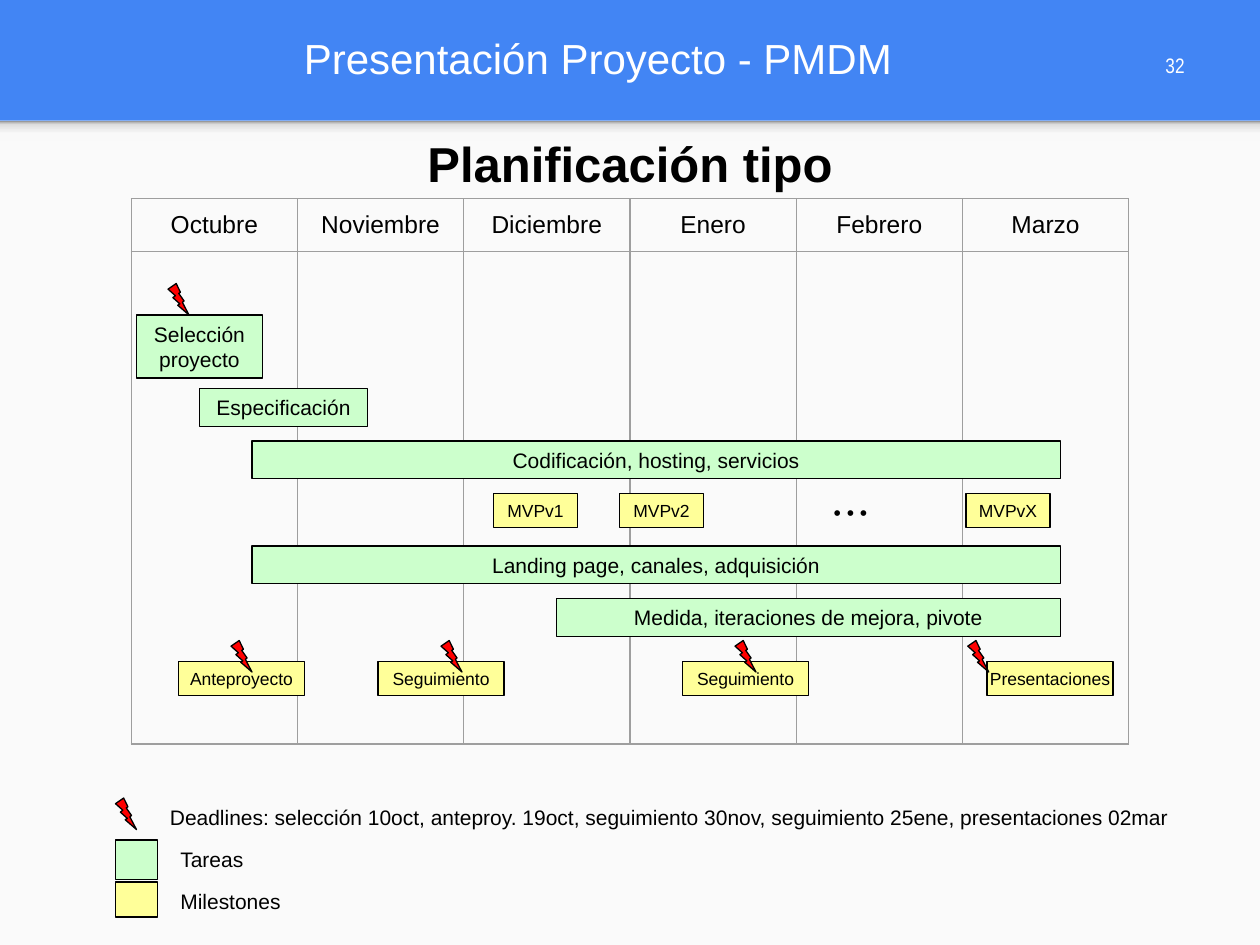
"""Builds the project planning slide: a monthly timeline with tasks, milestones and deadlines."""
from copy import deepcopy
from dataclasses import dataclass

from lxml.etree import SubElement
from pptx import Presentation
from pptx.dml.color import RGBColor
from pptx.enum.shapes import MSO_SHAPE as Shape
from pptx.enum.text import MSO_ANCHOR as Anchor, MSO_AUTO_SIZE as AutoSize, PP_ALIGN as Align
from pptx.oxml.ns import qn
from pptx.util import Pt


@dataclass(frozen=True)
class Theme:
    banner: str = "4285F4"
    paper: str = "FAFAFA"
    shade: tuple = ((0, "F9F9F9"), (0.36, "F9F9F9"), (0.8, "DEDEDE"), (1, "999999"))
    light: str = "FFFFFF"
    ink: str = "000000"
    grid: str = "9E9E9E"
    task: str = "CCFFCC"
    milestone: str = "FFFF99"
    deadline: str = "FF0000"
    font: str = "Arial"
    number_font: str = "Arial Narrow"
    banner_size: int = 24
    title_size: int = 28
    month_size: int = 14
    body_size: int = 12
    small_size: int = 10
    line: float = 0.75


class PlanSlide:
    def __init__(self, deck, theme):
        self.theme = theme
        self.slide = deck.slides.add_slide(deck.slide_layouts[5])
        self.shapes = self.slide.shapes
        self.paint(self.slide.background.fill, theme.banner)

    def paint(self, fill, color):
        fill.solid()
        fill.fore_color.rgb = RGBColor.from_string(color)

    def set_text(self, frame, text, size, align=Align.CENTER, color=None, font=None,
                 bold=False, anchor=Anchor.TOP, inset=(7.2, 3.6)):
        frame.text = text
        frame.word_wrap = True
        frame.auto_size = AutoSize.NONE
        frame.vertical_anchor = anchor
        frame.margin_left = frame.margin_right = Pt(inset[0])
        frame.margin_top = frame.margin_bottom = Pt(inset[1])
        self.set_font(frame.paragraphs[0], size, align, color, font, bold)

    def set_font(self, paragraph, size, align, color=None, font=None, bold=False):
        paragraph.alignment = align
        paragraph.font.size = Pt(size)
        paragraph.font.name = font or self.theme.font
        paragraph.font.bold = bold
        paragraph.font.color.rgb = RGBColor.from_string(color or self.theme.ink)

    def title(self, text, *box):
        heading = self.shapes.title
        heading.left, heading.top, heading.width, heading.height = map(Pt, box)
        self.set_text(heading.text_frame, text, self.theme.title_size, bold=True, anchor=Anchor.MIDDLE)
        self.shapes._spTree.append(heading._element)

    def text(self, text, box, size=None, **style):
        label = self.shapes.add_textbox(*map(Pt, box))
        self.set_text(label.text_frame, text, size or self.theme.body_size, **style)

    def shape(self, kind, box, color, outlined=True):
        figure = self.shapes.add_shape(kind, *map(Pt, box))
        figure.shadow.inherit = False
        self.paint(figure.fill, color)
        if outlined:
            figure.line.color.rgb = RGBColor.from_string(self.theme.ink)
            figure.line.width = Pt(self.theme.line)
        else:
            figure.line.fill.background()
        return figure

    def panel(self, top, height, shade_height):
        self.shape(Shape.RECTANGLE, (0, top, 720, height), self.theme.paper, outlined=False)
        shade = self.shape(Shape.RECTANGLE, (0, top, 720, shade_height), self.theme.paper, outlined=False)
        shade.fill.gradient()
        shade.fill.gradient_angle = 90
        stop_list = shade._element.spPr.find(qn("a:gradFill")).find(qn("a:gsLst"))
        while len(stop_list) < len(self.theme.shade):
            stop_list.append(deepcopy(stop_list[0]))
        for stop, (position, color) in zip(shade.fill.gradient_stops, self.theme.shade):
            stop.position = position
            stop.color.rgb = RGBColor.from_string(color)

    def task(self, text, left, top, width, height=21.6):
        bar = self.shape(Shape.RECTANGLE, (left, top, width, height), self.theme.task)
        self.set_text(bar.text_frame, text, self.theme.body_size)

    def milestone(self, text, left, top, width):
        mark = self.shape(Shape.RECTANGLE, (left, top, width, 19.5), self.theme.milestone)
        self.set_text(mark.text_frame, text, self.theme.small_size, inset=(0, 3.6))

    def deadline(self, left, top):
        self.shape(Shape.LIGHTNING_BOLT, (left, top, 12, 18), self.theme.deadline)

    def calendar(self, months, left, top, column_width, row_heights):
        grid = self.shapes.add_table(len(row_heights), len(months), Pt(left), Pt(top),
                                     Pt(column_width * len(months)), Pt(sum(row_heights))).table
        for column in grid.columns:
            column.width = Pt(column_width)
        for row, height in zip(grid.rows, row_heights):
            row.height = Pt(height)
        for cell in grid.iter_cells():
            self.border(cell)
            cell.fill.background()
        for column, month in enumerate(months):
            header = grid.cell(0, column)
            header.text = month
            header.margin_left = header.margin_right = Pt(7.2)
            header.margin_top = header.margin_bottom = Pt(7.2)
            self.set_font(header.text_frame.paragraphs[0], self.theme.month_size, Align.CENTER)

    def border(self, cell):
        properties = cell._tc.get_or_add_tcPr()
        for side in ("a:lnL", "a:lnR", "a:lnT", "a:lnB"):
            edge = SubElement(properties, qn(side), w=str(Pt(self.theme.line)))
            SubElement(SubElement(edge, qn("a:solidFill")), qn("a:srgbClr"), val=self.theme.grid)


def main():
    deck = Presentation()
    deck.slide_width, deck.slide_height = Pt(720), Pt(540)
    theme = Theme()
    plan = PlanSlide(deck, theme)

    plan.panel(69, 471, 11.5)
    plan.text("Presentación Proyecto - PMDM", (166.5, 1.5, 536.5, 63.5), theme.banner_size,
              align=Align.LEFT, color=theme.light, anchor=Anchor.MIDDLE, inset=(7.2, 7.2))
    plan.text("32", (624, 30, 60, 18), align=Align.RIGHT, color=theme.light,
              font=theme.number_font, anchor=Anchor.BOTTOM)
    plan.title("Planificación tipo", 36, 72, 648, 42)

    months = ("Octubre", "Noviembre", "Diciembre", "Enero", "Febrero", "Marzo")
    plan.calendar(months, 75, 113.5, 95, (30, 281.5))

    plan.task("Selección proyecto", 78, 180, 72, 36)
    plan.task("Especificación", 114, 222, 96)
    plan.task("Codificación, hosting, servicios", 144, 252, 462)
    plan.task("Landing page, canales, adquisición", 144, 312, 462)
    plan.task("Medida, iteraciones de mejora, pivote", 318, 342, 288)

    for version, left in (("MVPv1", 282), ("MVPv2", 354), ("MVPvX", 552)):
        plan.milestone(version, left, 282, 48)
    plan.text("• • •", (426, 282, 120, 21.6))

    plan.deadline(96, 162)
    reviews = (("Anteproyecto", 102, 132), ("Seguimiento", 216, 252),
               ("Seguimiento", 390, 420), ("Presentaciones", 564, 553))
    for review, left, bolt_left in reviews:
        plan.milestone(review, left, 378, 72)
        plan.deadline(bolt_left, 366)

    plan.deadline(66, 456)
    plan.text("Deadlines: selección 10oct, anteproy. 19oct, seguimiento 30nov, "
              "seguimiento 25ene, presentaciones 02mar", (90, 456, 594, 21.6), align=Align.LEFT)
    for meaning, top, height, color in (("Tareas", 480, 22.5, theme.task),
                                        ("Milestones", 504, 20, theme.milestone)):
        plan.shape(Shape.RECTANGLE, (66, top, 24, height), color)
        plan.text(meaning, (96, top, 72, 21.6), align=Align.LEFT)

    deck.save("out.pptx")


if __name__ == "__main__":
    main()
